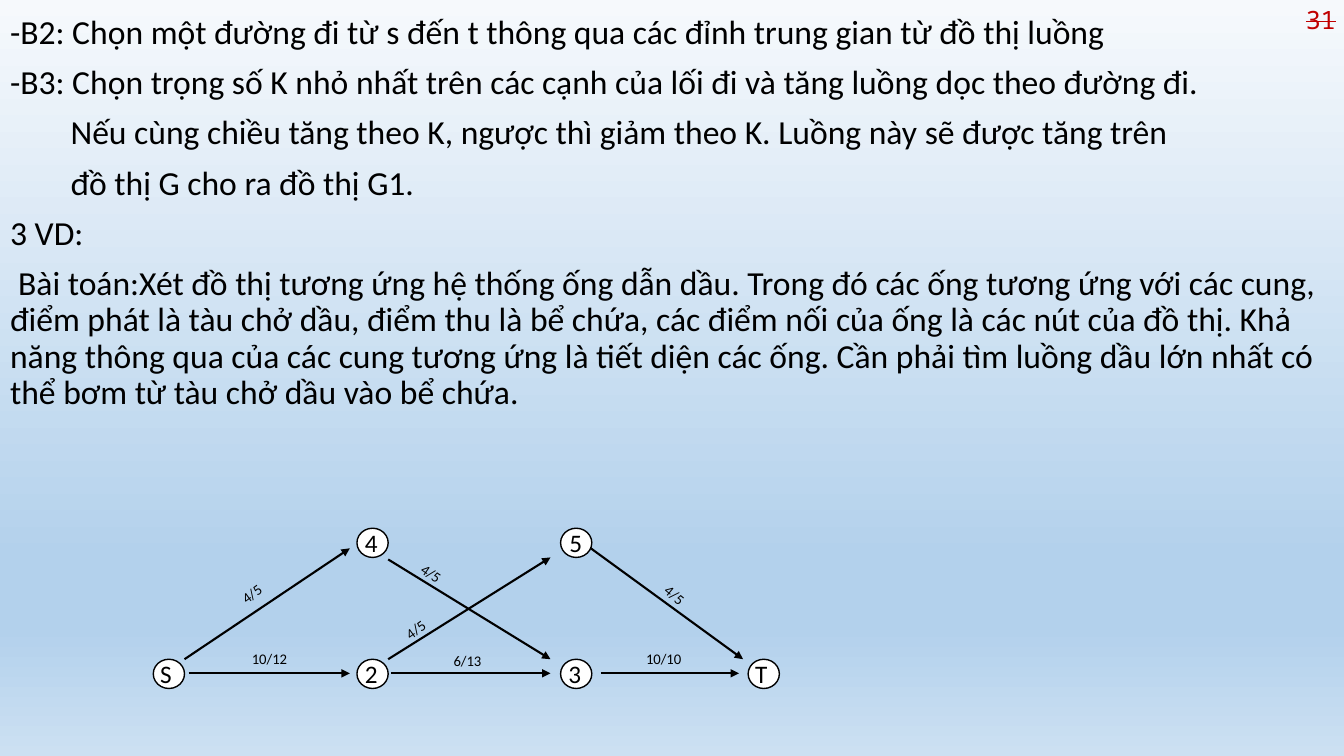
from dataclasses import dataclass

from lxml import etree
from pptx import Presentation
from pptx import util as u
from pptx.dml.color import RGBColor
from pptx.enum import shapes, text
from pptx.oxml.ns import qn


@dataclass(frozen=True)
class Theme:
    font: str = "Calibri"
    number_font: str = "Noto Sans Mono"
    ink: str = "000000"
    node: str = "FFFFFF"
    number: str = "C00000"
    body_size: float = 24
    node_size: float = 18
    edge_size: float = 10.5
    background: tuple = ((0, "F6F9FC"), (74, "B3D1EC"), (83, "B3D1EC"), (100, "CCE0F2"))


BODY = [
    ("-B2: Chọn một đường đi từ s đến t thông qua các đỉnh trung gian từ đồ thị luồng", 0, 0),
    ("-B3: Chọn trọng số K nhỏ nhất trên các cạnh của lối đi và tăng luồng dọc theo đường đi.", 0, 0),
    ("Nếu cùng chiều tăng theo K, ngược thì giảm theo K. Luồng này sẽ được tăng trên", 0.6, 0),
    ("đồ thị G cho ra đồ thị G1.", 0.6, 0),
    ("3 VD:", 0, 0),
    ("Bài toán:Xét đồ thị tương ứng hệ thống ống dẫn dầu. Trong đó các ống tương ứng với các cung, "
     "điểm phát là tàu chở dầu, điểm thu là bể chứa, các điểm nối của ống là các nút của đồ thị. "
     "Khả năng thông qua của các cung tương ứng là tiết diện các ống. Cần phải tìm luồng dầu lớn "
     "nhất có thể bơm từ tàu chở dầu vào bể chứa.", 0, 0.08),
]

TOP, BOTTOM = 5.24, 6.54
NODES = [
    ("S", 1.52, BOTTOM, -0.03, 0.63),
    ("2", 3.54, BOTTOM, -0.02, 0.44),
    ("3", 5.56, BOTTOM, -0.02, 0.56),
    ("T", 7.42, BOTTOM, -0.03, 0.37),
    ("4", 3.54, TOP, -0.02, 0.4),
    ("5", 5.56, TOP, -0.01, 0.46),
]

EDGES = [
    ((1.87, 6.68), (3.47, 6.68), "10/12", (2.4, 6.4, 0.74), 0),
    ((3.88, 6.68), (5.46, 6.68), "6/13", (4.4, 6.42, 0.68), 0),
    ((5.96, 6.68), (7.33, 6.68), "10/10", (6.31, 6.4, 0.67), 0),
    ((1.83, 6.54), (3.47, 5.44), "4/5", (2.28, 5.7, 0.58), 323.8),
    ((3.85, 5.55), (5.46, 6.54), "4/5", (4.05, 5.63, 0.69), 34.6),
    ((3.85, 6.54), (5.46, 5.53), "4/5", (3.91, 6.07, 0.53), 324.2),
    ((5.86, 5.44), (7.37, 6.54), "4/5", (6.46, 5.85, 0.67), 39.7),
]


class FlowSlide:
    def __init__(self, prs, theme):
        self.theme = theme
        self.s = prs.slides.add_slide(prs.slide_layouts[1])
        title = self.s.shapes.title._element
        title.getparent().remove(title)

    def background(self):
        fill = self.s.background.fill
        fill.gradient()
        fill.gradient_angle = 270
        stops = self.s._element.find(".//" + qn("a:gsLst"))
        for stop in list(stops):
            stops.remove(stop)
        for position, colour in self.theme.background:
            stop = etree.SubElement(stops, qn("a:gs"), pos=str(position * 1000))
            etree.SubElement(stop, qn("a:srgbClr"), val=colour)

    def style(self, font, size, **changes):
        formats = {"name": self.theme.font, "size": u.Pt(size), **changes}
        colour = formats.pop("colour", self.theme.ink)
        for name, value in formats.items():
            setattr(font, name, value)
        font.color.rgb = RGBColor.from_string(colour)

    def body(self, paragraphs):
        sp = self.s.placeholders[1]
        frame = {"left": 0, "top": 0.1, "width": 13.33, "height": 7.4}
        for name, value in frame.items():
            setattr(sp, name, u.Inches(value))
        tf = sp.text_frame
        tf.auto_size = text.MSO_AUTO_SIZE.NONE
        for i, (words, margin, indent) in enumerate(paragraphs):
            p = tf.add_paragraph() if i else tf.paragraphs[0]
            p.line_spacing = 0.9
            p.space_before = u.Pt(10 if i else 0)
            pPr = p._p.get_or_add_pPr()
            pPr.set("marL", str(u.Inches(margin)))
            pPr.set("indent", str(u.Inches(indent)))
            etree.SubElement(pPr, qn("a:buNone"))
            r = p.add_run()
            r.text = words
            self.style(r.font, self.theme.body_size)

    def label(self, words, left, top, width, height, size, rotation=0,
              align=text.PP_ALIGN.LEFT, **changes):
        sp = self.s.shapes.add_textbox(*map(u.Inches, (left, top, width, height)))
        sp.rotation = rotation
        tf = sp.text_frame
        tf.word_wrap = True
        p = tf.paragraphs[0]
        p.alignment = align
        r = p.add_run()
        r.text = words
        self.style(r.font, size, **changes)
        return r

    def node(self, name, left, top, shift, width):
        sp = self.s.shapes.add_shape(shapes.MSO_SHAPE.FLOWCHART_CONNECTOR,
                                     *map(u.Inches, (left, top, 0.31, 0.29)))
        sp.shadow.inherit = False
        sp.fill.solid()
        sp.fill.fore_color.rgb = RGBColor.from_string(self.theme.node)
        sp.line.color.rgb = RGBColor.from_string(self.theme.ink)
        sp.line.width = u.Pt(1)
        self.label(name, left + shift, top - 0.06, width, 0.4, self.theme.node_size)

    def edge(self, start, end, flow, place, rotation):
        line = self.s.shapes.add_connector(shapes.MSO_CONNECTOR.STRAIGHT,
                                           *map(u.Inches, start + end))
        line.line.color.rgb = RGBColor.from_string(self.theme.ink)
        line.line.width = u.Pt(1.5)
        etree.SubElement(line.line._get_or_add_ln(), qn("a:tailEnd"), type="triangle")
        etree.SubElement(line._element.spPr, qn("a:effectLst"))
        self.label(flow, *place, 0.28, self.theme.edge_size, rotation)

    def digit(self, words, left, width, align):
        r = self.label(words, left, -0.01, width, 0.4, self.theme.node_size, align=align,
                       name=self.theme.number_font, colour=self.theme.number)
        r.font._element.set("strike", "sngStrike")


def main():
    prs = Presentation()
    prs.slide_width, prs.slide_height = u.Inches(13.33), u.Inches(7.5)
    slide = FlowSlide(prs, Theme())
    slide.background()
    slide.body(BODY)
    for node in NODES:
        slide.node(*node)
    for edge in EDGES:
        slide.edge(*edge)
    slide.digit("3", 12.69, 0.51, text.PP_ALIGN.RIGHT)
    slide.digit("1", 13, 1, text.PP_ALIGN.LEFT)
    prs.save("out.pptx")


if __name__ == "__main__":
    main()
